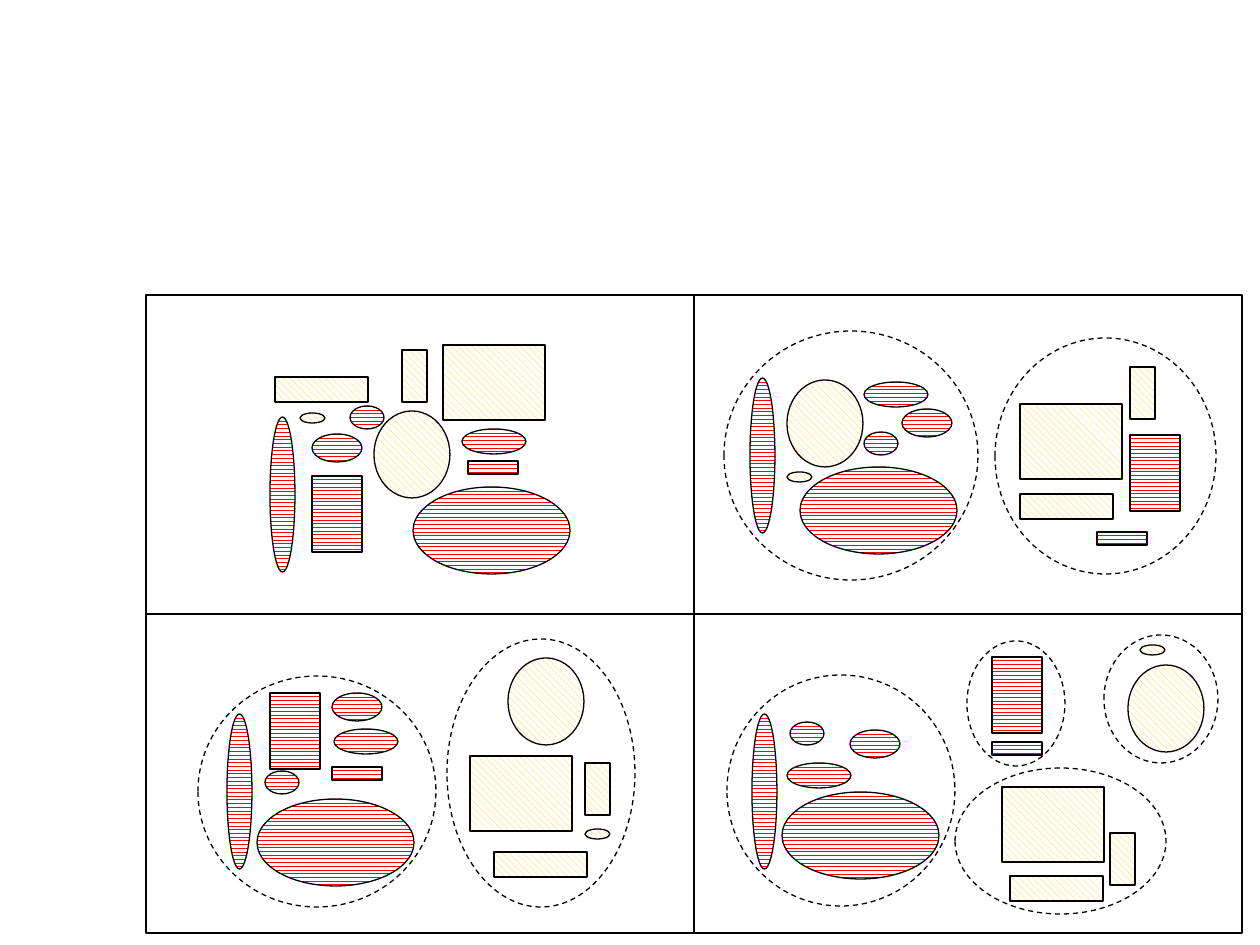
from pptx import Presentation
from pptx.dml.color import RGBColor
from pptx.enum.dml import MSO_LINE, MSO_PATTERN
from pptx.enum.shapes import MSO_SHAPE
from pptx.util import Inches, Pt

RECT, OVAL = MSO_SHAPE.RECTANGLE, MSO_SHAPE.OVAL
YELLOW_FILL, RED_FILL = MSO_PATTERN.WIDE_DOWNWARD_DIAGONAL, MSO_PATTERN.ZIG_ZAG
DASH = MSO_LINE.DASH

PX = Inches(1) / 126
LINE_WIDTH = 0.75
COLORS = {"line": "000000", "yellow": "FFCF01", "red": "FF0000", "back": "FFFFFF"}
PATTERNS = {"yellow": YELLOW_FILL, "red": RED_FILL}

# Every panel arranges the same pieces: preset, colour, width, height.
PIECES = [
    (RECT, "yellow", 93, 25),
    (RECT, "red", 50, 76),
    (RECT, "yellow", 25, 52),
    (RECT, "red", 50, 13),
    (RECT, "yellow", 102, 75),
    (OVAL, "red", 34, 23),
    (OVAL, "yellow", 76, 87),
    (OVAL, "yellow", 25, 10),
    (OVAL, "red", 25, 155),
    (OVAL, "red", 50, 28),
    (OVAL, "red", 64, 25),
    (OVAL, "red", 157, 87),
]

# Per panel: left-top of each piece, then the boxes of the cluster outlines.
PANELS = [
    ([(275, 377), (312, 476), (402, 350), (468, 461), (443, 345), (350, 406),
      (374, 411), (300, 413), (270, 417), (312, 434), (462, 429), (413, 487)],
     []),
    ([(494, 852), (270, 693), (585, 763), (332, 767), (470, 756), (265, 771),
      (508, 658), (585, 829), (227, 714), (332, 693), (334, 729), (257, 799)],
     [(198, 676, 238, 231), (447, 639, 188, 268)]),
    ([(1010, 876), (992, 657), (1110, 833), (992, 742), (1002, 787), (790, 722),
      (1128, 665), (1140, 645), (752, 714), (850, 730), (787, 763), (782, 792)],
     [(727, 675, 228, 231), (967, 641, 98, 125),
      (955, 768, 211, 146), (1104, 635, 114, 128)]),
    ([(1020, 494), (1130, 435), (1130, 367), (1097, 532), (1020, 404), (864, 432),
      (787, 380), (787, 472), (750, 378), (902, 409), (864, 382), (800, 467)],
     [(724, 331, 254, 249), (995, 338, 221, 236)]),
]

GRID_LEFT, GRID_TOP, CELL_W, CELL_H = 146, 295, 548, 319


def rgb(name):
    """Return the named colour."""
    return RGBColor.from_string(COLORS[name])


def add_outline(shapes, preset, box):
    """Add an unfilled shape with a thin black line."""
    sp = shapes.add_shape(preset, *(round(v * PX) for v in box))
    sp.shadow.inherit = False
    sp.fill.background()
    sp.line.color.rgb = rgb("line")
    sp.line.width = Pt(LINE_WIDTH)
    return sp


def add_piece(shapes, piece, position):
    """Add one pattern-filled piece at a left-top position."""
    preset, color, width, height = piece
    sp = add_outline(shapes, preset, (*position, width, height))
    sp.fill.patterned()
    sp.fill.pattern = PATTERNS[color]
    sp.fill.fore_color.rgb = rgb(color)
    sp.fill.back_color.rgb = rgb("back")


def add_panel(slide, positions, clusters):
    """Add a group holding all pieces and their dashed cluster outlines."""
    shapes = slide.shapes.add_group_shape().shapes
    for piece, position in zip(PIECES, positions):
        add_piece(shapes, piece, position)
    for box in clusters:
        add_outline(shapes, OVAL, box).line.dash_style = DASH


def add_frames(slide):
    """Add the two-by-two grid of panel frames."""
    shapes = slide.shapes.add_group_shape().shapes
    for row in range(2):
        for col in range(2):
            left, top = GRID_LEFT + col * CELL_W, GRID_TOP + row * CELL_H
            add_outline(shapes, RECT, (left, top, CELL_W, CELL_H))


def main():
    """Build the slide and save it."""
    prs = Presentation()
    prs.slide_width, prs.slide_height = Inches(10), Inches(7.5)
    slide = prs.slides.add_slide(prs.slide_layouts[6])
    for positions, clusters in PANELS:
        add_panel(slide, positions, clusters)
    add_frames(slide)
    prs.save("out.pptx")


main()
